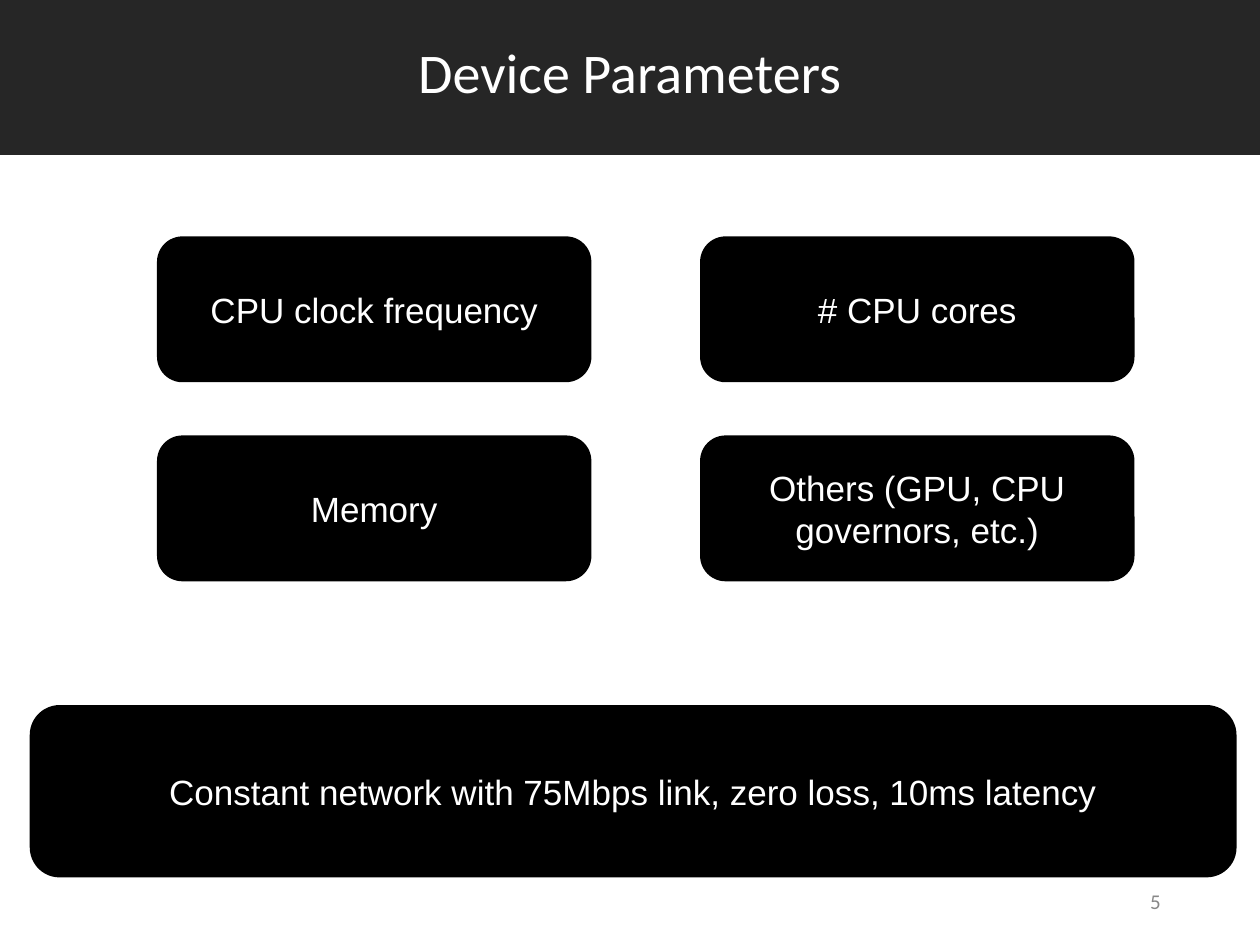
import pptx
import pptx.util
import pptx.dml.color
import pptx.enum.shapes
import pptx.enum.text

Inches = pptx.util.Inches
Shapes = pptx.enum.shapes.MSO_SHAPE
Align = pptx.enum.text.PP_ALIGN
COLORS = {"band": "262626", "card": "000000", "light": "FFFFFF", "number": "888888"}


def color(name):
    return pptx.dml.color.RGBColor.from_string(COLORS[name])


def write(box, text, size, font, shade, align=Align.CENTER):
    frame = box.text_frame
    frame.word_wrap = True
    frame.vertical_anchor = pptx.enum.text.MSO_ANCHOR.MIDDLE
    para = frame.paragraphs[0]
    para.alignment = align
    span = para.add_run()
    span.text = text
    span.font.size = pptx.util.Pt(size)
    span.font.name = font
    span.font.color.rgb = color(shade)
    return para


deck = pptx.Presentation()
deck.slide_width = Inches(10)
deck.slide_height = Inches(7.5)
page = deck.slides.add_slide(deck.slide_layouts[6])

title = page.shapes.add_shape(
    Shapes.RECTANGLE, Inches(0), Inches(-0.04), Inches(10), Inches(1.27))
title.shadow.inherit = False
title.fill.solid()
title.fill.fore_color.rgb = color("band")
title.line.fill.background()
write(title, "Device Parameters", 32, "Calibri", "light").line_spacing = 0.9

number = page.shapes.add_textbox(Inches(7.06), Inches(6.95), Inches(2.25), Inches(0.4))
write(number, "5", 12, "Calibri", "number", Align.RIGHT)

parameters = [
    ["CPU clock frequency", "# CPU cores"],
    ["Memory", "Others (GPU, CPU governors, etc.)"],
]
cards = [
    (text, 1.26 + 4.31 * column, 1.89 + 1.58 * row, 3.42, 1.13)
    for row, texts in enumerate(parameters)
    for column, text in enumerate(texts)
]
cards.append(
    ("Constant network with 75Mbps link, zero loss, 10ms latency", 0.25, 5.61, 9.55, 1.34))

for text, left, top, width, height in cards:
    card = page.shapes.add_shape(
        Shapes.ROUNDED_RECTANGLE, Inches(left), Inches(top), Inches(width), Inches(height))
    card.shadow.inherit = False
    card.fill.solid()
    card.fill.fore_color.rgb = color("card")
    card.line.color.rgb = color("card")
    card.line.width = pptx.util.Pt(2)
    write(card, text, 20, "Arial", "light")

deck.save("out.pptx")
